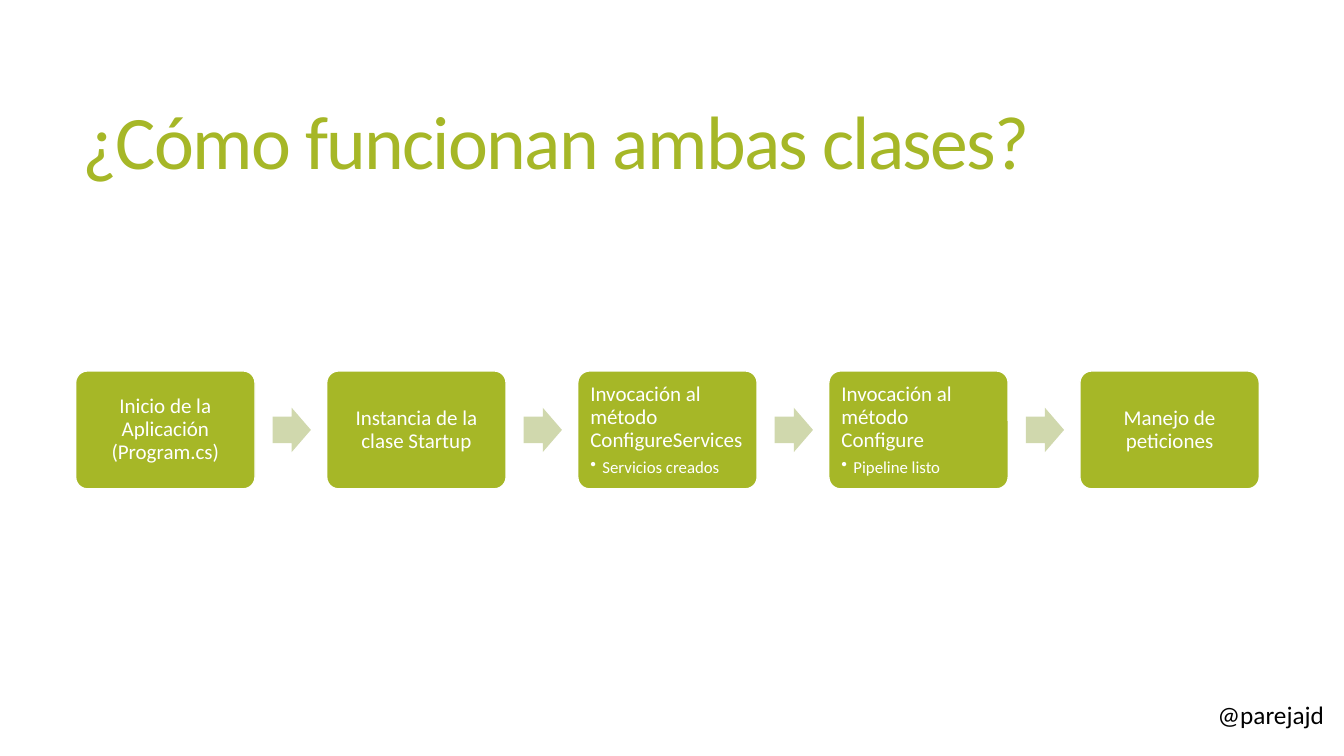
from lxml import etree
from pptx import Presentation
from pptx.dml.color import RGBColor
from pptx.enum.shapes import MSO_SHAPE
from pptx.enum.text import MSO_ANCHOR, PP_ALIGN
from pptx.oxml.ns import qn
from pptx.util import Inches, Pt

ROUND_RECT, RIGHT_ARROW = MSO_SHAPE.ROUNDED_RECTANGLE, MSO_SHAPE.RIGHT_ARROW
TOP, MIDDLE = MSO_ANCHOR.TOP, MSO_ANCHOR.MIDDLE
LEFT, CENTER = PP_ALIGN.LEFT, PP_ALIGN.CENTER

COLORS = {"green": "A6B727", "pale": "D0D8AD", "white": "FFFFFF", "black": "000000"}
FONT = "Calibri"

# Horizontal and vertical lengths are percentages of the slide's width and height.
STEP_LEFT, STEP_TOP, STEP_W, STEP_H = 5.63, 49.07, 13.35, 15.6
STEP_PITCH = 18.68
ARROW_OFFSET, ARROW_W, ARROW_H = 14.65, 2.85, 5.87

STEPS = [
    ("Inicio de la Aplicación (Program.cs)", None),
    ("Instancia de la clase Startup", None),
    ("Invocación al método ConfigureServices", "Servicios creados"),
    ("Invocación al método Configure", "Pipeline listo"),
    ("Manejo de peticiones", None),
]


def rgb(name):
    return RGBColor.from_string(COLORS[name])


def write(p, text, size, color, align=LEFT, line=1.0, after=0, tracking=None):
    p.alignment, p.line_spacing, p.space_after = align, line, Pt(after)
    r = p.add_run()
    r.text = text
    r.font.name, r.font.size = FONT, Pt(size)
    r.font.color.rgb = rgb(color)
    if tracking is not None:
        r.font._element.set("spc", str(round(tracking * 100)))


def add_bullet(p, indent):
    pPr = p._p.get_or_add_pPr()
    pPr.set("marL", str(Inches(indent)))
    pPr.set("indent", str(-Inches(indent)))
    etree.SubElement(pPr, qn("a:buChar")).set("char", "•")


class Deck:
    def __init__(self, width, height):
        self.prs = Presentation()
        self.prs.slide_width, self.prs.slide_height = Inches(width), Inches(height)
        self.slide = self.prs.slides.add_slide(self.prs.slide_layouts[6])

    def place(self, x, y, w, h):
        """Turn percentages of the slide into left, top, width and height."""
        sw, sh = self.prs.slide_width, self.prs.slide_height
        return [round(v * side / 100) for v, side in ((x, sw), (y, sh), (w, sw), (h, sh))]

    def text(self, x, y, w, h, text, anchor=TOP, **style):
        tf = self.slide.shapes.add_textbox(*self.place(x, y, w, h)).text_frame
        tf.word_wrap, tf.vertical_anchor = True, anchor
        write(tf.paragraphs[0], text, **style)

    def shape(self, kind, x, y, w, h, fill, adjustments, outline=None):
        sp = self.slide.shapes.add_shape(kind, *self.place(x, y, w, h))
        sp.shadow.inherit = False
        for i, value in enumerate(adjustments):
            sp.adjustments[i] = value
        sp.fill.solid()
        sp.fill.fore_color.rgb = rgb(fill)
        if outline:
            sp.line.color.rgb, sp.line.width = rgb(outline), Pt(1)
        else:
            sp.line.fill.background()
        return sp

    def step(self, x, heading, detail):
        sp = self.shape(ROUND_RECT, x, STEP_TOP, STEP_W, STEP_H, "green", [0.1], "white")
        tf = sp.text_frame
        tf.word_wrap = True
        tf.margin_left = tf.margin_right = tf.margin_top = tf.margin_bottom = Inches(0.09)
        tf.vertical_anchor = TOP if detail else MIDDLE
        write(tf.paragraphs[0], heading, 15, "white",
              align=LEFT if detail else CENTER, line=0.9, after=5.25)
        if detail:
            p = tf.add_paragraph()
            p.level = 1
            write(p, detail, 12, "white", line=0.9, after=1.8)
            add_bullet(p, 0.12)

    def arrow(self, x):
        y = STEP_TOP + (STEP_H - ARROW_H) / 2
        self.shape(RIGHT_ARROW, x, y, ARROW_W, ARROW_H, "pale", [0.6, 0.5])


def main():
    deck = Deck(13.33, 7.5)
    deck.text(89.87, 91.87, 10.65, 5.33, "@parejajd", size=18, color="black")
    deck.text(5.4, 7.33, 88.37, 24.13, "¿Cómo funcionan ambas clases?", anchor=MIDDLE,
              size=54, color="green", line=0.85, tracking=-1.2)
    for i, (heading, detail) in enumerate(STEPS):
        x = STEP_LEFT + i * STEP_PITCH
        deck.step(x, heading, detail)
        if i < len(STEPS) - 1:
            deck.arrow(x + ARROW_OFFSET)
    deck.prs.save("out.pptx")


if __name__ == "__main__":
    main()
